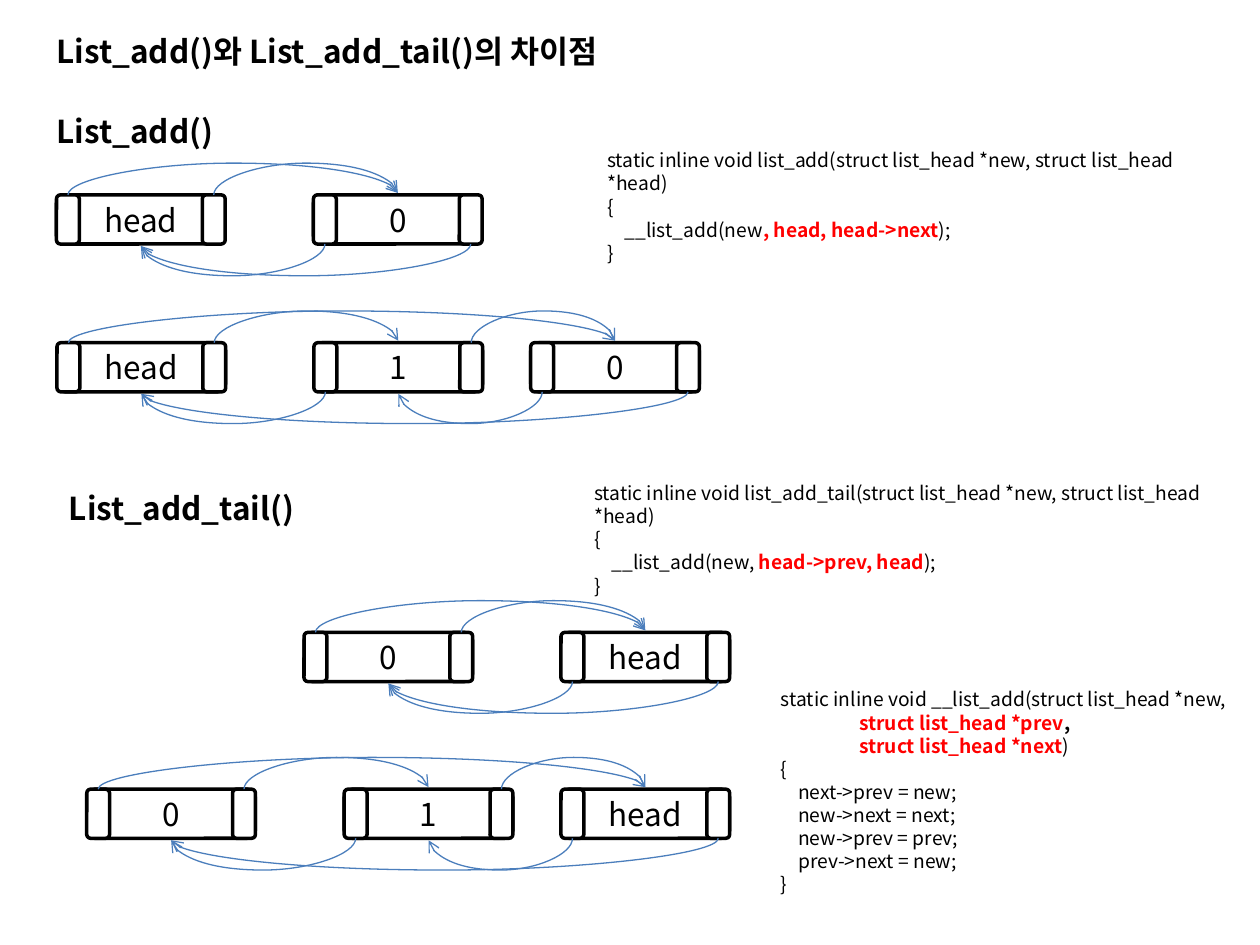
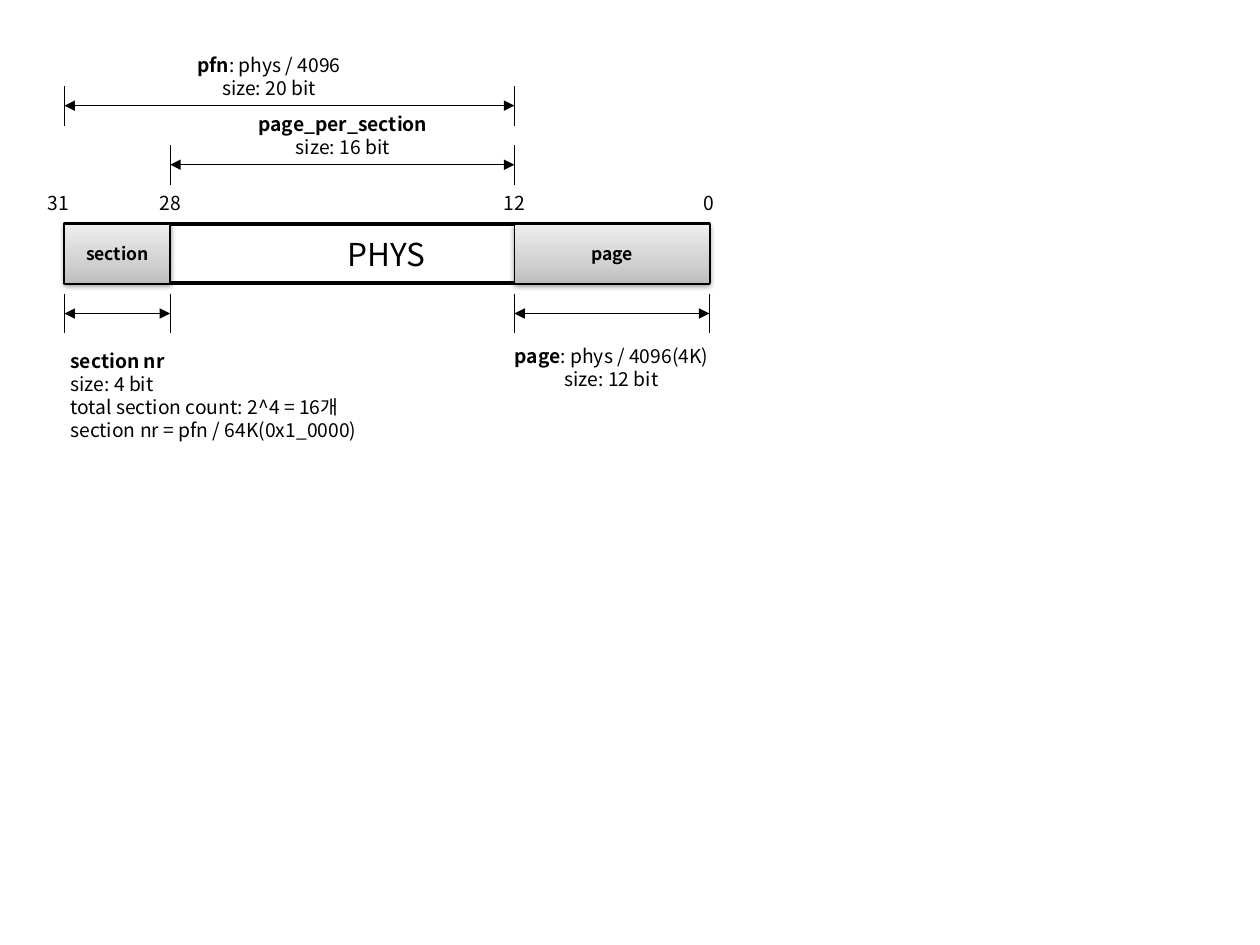
from pptx import Presentation
from pptx.dml.color import RGBColor
from pptx.enum.shapes import MSO_CONNECTOR, MSO_SHAPE
from pptx.enum.text import MSO_ANCHOR, MSO_AUTO_SIZE, PP_ALIGN
from pptx.oxml.ns import qn
from pptx.util import Cm, Pt
from lxml.etree import SubElement

FONT = "Noto Sans CJK KR"
BLACK, WHITE, RED, BLUE = "000000", "FFFFFF", "FF0000", "4B7EBC"
THICK, THIN = 2, 0.75

# Content, lengths in cm. A line of text is (indent, runs);
# a run is (text, style): "" plain, "b" bold, "r" bold red.
TAB, DEEP = 0.35, 1.58
TITLES = [
    ("List_add()와 List_add_tail()의 차이점", 0.89, 0.53, 23.8),
    ("List_add()", 0.89, 2.13, 6.6),
    ("List_add_tail()", 1.14, 9.73, 6.6),
]
CODES = [
    (11.99, 2.87, 12.7, 2.13, [
        (0, [("static inline void list_add(struct list_head *new, struct list_head *head)", "")]),
        (0, [("{", "")]),
        (TAB, [("__list_add(new", ""), (", head, head->next", "r"), (");", "")]),
        (0, [("}", "")]),
    ]),
    (11.73, 9.58, 13.77, 2.13, [
        (0, [("static inline void list_add_tail(struct list_head *new, struct list_head *head)", "")]),
        (0, [("{", "")]),
        (TAB, [("__list_add(new, ", ""), ("head->prev, head", "r"), (");", "")]),
        (0, [("}", "")]),
    ]),
    (15.49, 13.74, 9.6, 4.5, [
        (0, [("static inline void __list_add(struct list_head *new,", "")]),
        (DEEP, [("struct list_head *prev", "r"), (",", "b")]),
        (DEEP, [("struct list_head *next", "r"), (")", "")]),
        (0, [("{", "")]),
        (TAB, [("next->prev = new;", "")]),
        (TAB, [("new->next = next;", "")]),
        (TAB, [("new->prev = prev;", "")]),
        (TAB, [("prev->next = new;", "")]),
        (0, [("}", "")]),
    ]),
]
# Linked lists: top, then (label, left) of each node
CHAINS = [
    (3.93, [("head", 1.14), ("0", 6.32)]),
    (6.91, [("head", 1.15), ("1", 6.33), ("0", 10.7)]),
    (12.75, [("0", 6.13), ("head", 11.31)]),
    (15.91, [("0", 1.75), ("1", 6.94), ("head", 11.31)]),
]
NODE_W, NODE_H, CELL_W = 3.4, 0.99, 0.46
RISE, TIP = 0.64, 0.04

# Address bits: x of each boundary
BIT = {31: 1.3, 28: 3.43, 12: 10.37, 0: 14.3}
BAR_Y, BAR_H = 4.52, 1.19
MARKS = [("31", 1.18), ("28", BIT[28]), ("12", BIT[12]), ("0", BIT[0])]
FIELDS = [("page", 12, 0), ("section", 31, 28)]
SPANS = [(31, 12, 1.73), (28, 12, 2.92), (31, 28, 5.92), (12, 0, 5.92)]
TICK = 0.8
NOTES = [
    (2.11, 0.94, 6.63, 1.19, PP_ALIGN.CENTER, [
        (0, [("pfn", "b"), (": phys / 4096", "")]),
        (0, [("size: 20 bit", "")]),
    ]),
    (3.6, 2.13, 6.63, 1.19, PP_ALIGN.CENTER, [
        (0, [("page_per_section", "b")]),
        (0, [("size: 16 bit", "")]),
    ]),
    (9.93, 6.81, 4.8, 1.19, PP_ALIGN.CENTER, [
        (0, [("page", "b"), (": phys / 4096(4K)", "")]),
        (0, [("size: 12 bit", "")]),
    ]),
    (1.17, 6.91, 6.63, 2.62, PP_ALIGN.LEFT, [
        (0, [("section nr", "b")]),
        (0, [("size: 4 bit", "")]),
        (0, [("total section count: 2^4 = 16개", "")]),
        (0, [("section nr = pfn / 64K(0x1_0000)", "")]),
    ]),
]
SHADES = [(0, "BDBDBD"), (35, "D1D1D1"), (100, "EEEEEE")]


def rgb(code):
    return RGBColor.from_string(code)


def write(frame, lines, size=11, align=PP_ALIGN.LEFT, anchor=MSO_ANCHOR.TOP):
    """Fill a text frame with lines of styled runs."""
    frame.word_wrap = True
    frame.vertical_anchor = anchor
    for num, (indent, runs) in enumerate(lines):
        para = frame.add_paragraph() if num else frame.paragraphs[0]
        para.alignment = align
        if indent:
            props = para._p.get_or_add_pPr()
            props.set("marL", str(Cm(indent)))
            props.set("indent", "0")
        for text, style in runs:
            run = para.add_run()
            run.text = text
            font = run.font
            font.name, font.size, font.bold = FONT, Pt(size), style != ""
            font.color.rgb = rgb(RED if style == "r" else BLACK)
            SubElement(font._element, qn("a:ea"), typeface=FONT)


def label(slide, lines, x, y, w, h, **form):
    box = slide.shapes.add_textbox(Cm(x), Cm(y), Cm(w), Cm(h))
    write(box.text_frame, lines, **form)
    box.text_frame.auto_size = MSO_AUTO_SIZE.SHAPE_TO_FIT_TEXT


def block(shapes, kind, x, y, w, h, text="", style="", size=18, width=THICK):
    box = shapes.add_shape(kind, Cm(x), Cm(y), Cm(w), Cm(h))
    box.shadow.inherit = False
    box.fill.solid()
    box.fill.fore_color.rgb = rgb(WHITE)
    box.line.color.rgb = rgb(BLACK)
    box.line.width = Pt(width)
    if text:
        write(box.text_frame, [(0, [(text, style)])], size=size,
              align=PP_ALIGN.CENTER, anchor=MSO_ANCHOR.MIDDLE)
    return box


def link(slide, x1, y1, x2, y2, color=BLACK, kind=MSO_CONNECTOR.STRAIGHT, ends=None):
    line = slide.shapes.add_connector(kind, Cm(x1), Cm(y1), Cm(x2), Cm(y2))
    line.line.color.rgb = rgb(color)
    line.line.width = Pt(THIN)
    props = line._element.spPr
    SubElement(props, qn("a:effectLst"))
    for end, head in (ends or {}).items():
        SubElement(props.find(qn("a:ln")), qn("a:" + end), type=head)
    return line


def arc(slide, start, goal, x1, x2, y, up):
    """Curve from a cell to a node, above the row (up) or below it."""
    line = link(slide, x1, y, x2, y, BLUE, MSO_CONNECTOR.CURVE, {"tailEnd": "arrow"})
    site = 0 if up else 2
    line.begin_connect(start, site)
    line.end_connect(goal, site)
    # The frame is turned a quarter, so its height runs along the row
    span = abs(x2 - x1)
    mid = y + (-TIP if up else TIP) / 2
    line.left, line.top = Cm((x1 + x2 - TIP) / 2), Cm(mid - span / 2)
    line.width, line.height = Cm(TIP), Cm(span)
    props = line._element.spPr
    frame = props.find(qn("a:xfrm"))
    frame.set("rot", "5400000")
    for flip in ("flipH", "flipV"):
        frame.set(flip, "1" if up else "0")
    shape = props.find(qn("a:prstGeom"))
    values = shape.find(qn("a:avLst"))
    if values is None:
        values = SubElement(shape, qn("a:avLst"))
    SubElement(values, qn("a:gd"), name="adj1", fmla=f"val {round(RISE / TIP * 100000)}")


def node(slide, text, x, y):
    """Group of a body and its two pointer cells; returns all three."""
    group = slide.shapes.add_group_shape().shapes
    kind = MSO_SHAPE.ROUNDED_RECTANGLE
    body = block(group, kind, x, y, NODE_W, NODE_H, text)
    left, right = [block(group, kind, pos, y, CELL_W, NODE_H)
                   for pos in (x, x + NODE_W - CELL_W)]
    return body, left, right


def chain(slide, y, items):
    nodes = [node(slide, text, x, y) for text, x in items]
    last = len(items) - 1
    # (from node, cell, to node, above): neighbours, then the outer pair
    hops = [(i, 2, i + 1, True) for i in range(last)]
    hops += [(i + 1, 1, i, False) for i in range(last)]
    hops += [(0, 1, last, True), (last, 2, 0, False)]
    for src, cell, dst, up in hops:
        shift = CELL_W / 2 if cell == 1 else NODE_W - CELL_W / 2
        arc(slide, nodes[src][cell], nodes[dst][0], items[src][1] + shift,
            items[dst][1] + NODE_W / 2, y if up else y + NODE_H, up)


def shade(box):
    """Grey gradient and a soft shadow below."""
    box.fill.gradient()
    box.fill.gradient_angle = 90
    props = box._element.spPr
    stops = props.find(qn("a:gradFill")).find(qn("a:gsLst"))
    for old in list(stops):
        stops.remove(old)
    for pos, code in SHADES:
        stop = SubElement(stops, qn("a:gs"), pos=str(pos * 1000))
        SubElement(stop, qn("a:srgbClr"), val=code)
    cast = SubElement(props.find(qn("a:effectLst")), qn("a:outerShdw"),
                      blurRad=str(Pt(3.1)), dist=str(Pt(1.6)), dir="5400000",
                      rotWithShape="0")
    tint = SubElement(cast, qn("a:srgbClr"), val=BLACK)
    SubElement(tint, qn("a:alpha"), val="38000")


deck = Presentation()
deck.slide_width, deck.slide_height = Cm(25.4), Cm(19.05)
blank = deck.slide_layouts[6]

# Slide 1: inserting into a linked list
slide = deck.slides.add_slide(blank)
for text, x, y, w in TITLES:
    label(slide, [(0, [(text, "b")])], x, y, w, 1.02, size=18)
for y, items in CHAINS:
    chain(slide, y, items)
for x, y, w, h, lines in CODES:
    label(slide, lines, x, y, w, h)

# Slide 2: fields of a physical address
slide = deck.slides.add_slide(blank)
block(slide.shapes, MSO_SHAPE.RECTANGLE, BIT[31], BAR_Y, BIT[0] - BIT[31], BAR_H, "PHYS")
for text, high, low in FIELDS:
    shade(block(slide.shapes, MSO_SHAPE.RECTANGLE, BIT[high], BAR_Y,
                BIT[low] - BIT[high], BAR_H, text, "b", 10, THIN))
link(slide, BIT[28], BAR_Y, BIT[28], BAR_Y + BAR_H)
for text, x in MARKS:
    label(slide, [(0, [(text, "")])], x - 0.68, 3.74, 1.36, 0.73, align=PP_ALIGN.CENTER)

# Dimension arrows between tick lines
for high, low, y in SPANS:
    for x in (BIT[high], BIT[low]):
        link(slide, x, y, x, y + TICK)
    link(slide, BIT[high], y + TICK / 2, BIT[low], y + TICK / 2,
         ends={"headEnd": "triangle", "tailEnd": "triangle"})
for x, y, w, h, align, lines in NOTES:
    label(slide, lines, x, y, w, h, align=align)

deck.save("out.pptx")
